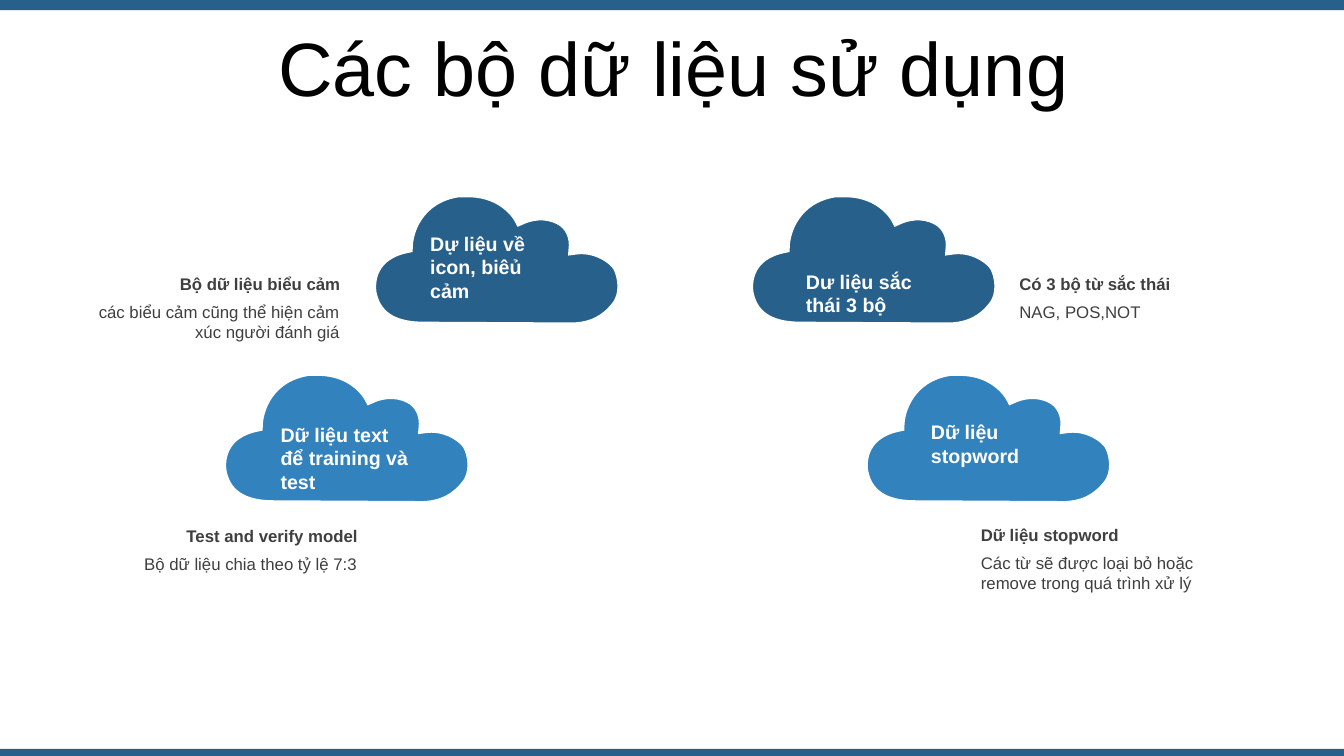
from lxml.etree import SubElement as Sub
from pptx import Presentation
from pptx.dml.color import RGBColor as RGB
from pptx.enum.shapes import MSO_SHAPE as Shape
from pptx.enum.text import MSO_ANCHOR as Anchor, MSO_AUTO_SIZE as Fit, PP_ALIGN as Align
from pptx.oxml.ns import qn
from pptx.util import Cm, Pt

COLORS = {"navy": "28608C", "blue": "3282BE", "white": "FFFFFF",
          "black": "000000", "gray": "3F3F3F"}
WIDE, HIGH = 33.87, 19.05

# Cloud outline in cm: each entry is a curve (three points) or a line (one point)
START = (2.36, 0)
CLOUD = [
    [(3.18, -0.03), (3.61, 0.46), (3.73, 0.71)],
    [(3.99, 0.58), (4.37, 0.51), (4.72, 0.69)],
    [(4.98, 0.81), (5.13, 1.12), (5.08, 1.45)],
    [(5.64, 1.35), (6.1, 1.7), (6.2, 1.88)],
    [(6.32, 2.11), (6.4, 2.57), (6.15, 2.87)],
    [(5.89, 3.2), (5.56, 3.38), (5.08, 3.4)],
    [(1.3, 3.38)],
    [(0.69, 3.38), (0.13, 3.2), (0, 2.54)],
    [(-0.05, 2.24), (0, 1.57), (0.91, 1.4)],
    [(0.91, 0.97), (1.19, 0.15), (2.18, 0)],
    [(2.24, 0), (2.31, 0), START],
]


def curve(shape):
    """Turn each run of three segments into one Bezier curve."""
    steps = iter(list(shape.element.iter(qn("a:lnTo"))))
    for part in CLOUD:
        first, *rest = [next(steps) for _ in part]
        if rest:
            first.tag = qn("a:cubicBezTo")
        for step in rest:
            first.append(step[0])
            step.getparent().remove(step)


def write(frame, text, size=12, color="gray", bold=False, align=Align.LEFT, gap=None):
    para = frame.paragraphs[0]
    para.alignment = align
    if gap:
        para.line_spacing = gap
    run = para.add_run()
    run.text = text
    font = run.font
    font.name, font.size, font.bold = "Arial", Pt(size), bold
    font.color.rgb = RGB.from_string(COLORS[color])


class Deck:
    def __init__(self):
        self.prs = Presentation()
        self.prs.slide_width, self.prs.slide_height = Cm(WIDE), Cm(HIGH)
        self.shapes = self.prs.slides.add_slide(self.prs.slide_layouts[6]).shapes

    def paint(self, shape, color):
        shape.shadow.inherit = False
        shape.fill.solid()
        shape.fill.fore_color.rgb = RGB.from_string(COLORS[color])

    def bar(self, top, high):
        shape = self.shapes.add_shape(Shape.RECTANGLE, 0, Cm(top), Cm(WIDE), Cm(high))
        self.paint(shape, "navy")
        shape.line.fill.background()

    def cloud(self, left, top, color):
        def place(dot):
            return Cm(left + dot[0]), Cm(top + dot[1])

        pen = self.shapes.build_freeform(*place(START))
        pen.add_line_segments([place(dot) for part in CLOUD for dot in part], close=True)
        shape = pen.convert_to_shape()
        curve(shape)
        self.paint(shape, color)
        shape.line.color.rgb = RGB.from_string(COLORS["white"])
        shape.line.width = Pt(7)
        # Sharp corners
        Sub(shape.element.spPr.find(qn("a:ln")), qn("a:miter"), lim="800000")

    def text(self, left, top, wide, high, text, anchor=Anchor.MIDDLE, fit=Fit.SHAPE_TO_FIT_TEXT,
             **style):
        frame = self.shapes.add_textbox(Cm(left), Cm(top), Cm(wide), Cm(high)).text_frame
        frame.word_wrap = True
        frame.auto_size = fit
        frame.vertical_anchor = anchor
        write(frame, text, **style)

    def note(self, left, top, high, head, body, align):
        self.text(left, top, 7.06, 0.76, head, bold=True, align=align)
        self.text(left, top + 0.71, 7.04, high, body, anchor=Anchor.TOP, align=align)


def main():
    deck = Deck()

    # Bars and title
    deck.bar(0, 0.26)
    deck.bar(18.87, 0.18)
    deck.text(0.89, 0.94, 32.16, 2.01, "Các bộ dữ liệu sử dụng", fit=Fit.NONE,
              size=54, color="black", align=Align.CENTER, gap=0.7)

    # Clouds
    for left, top, color in [(5.59, 9.35, "blue"), (9.37, 4.85, "navy"),
                             (18.87, 4.85, "navy"), (21.76, 9.35, "blue")]:
        deck.cloud(left, top, color)

    # Cloud labels
    for left, top, high, text in [
        (6.82, 10.51, 2.06, "Dữ liệu text để training và test"),
        (10.59, 5.7, 2.06, "Dự liệu về icon, biêủ cảm"),
        (20.06, 6.66, 1.45, "Dư liệu sắc thái 3 bộ"),
        (23.21, 10.46, 1.45, "Dữ liệu stopword"),
    ]:
        deck.text(left, top, 3.84, high, text, size=14, color="white", bold=True)

    # Notes beside the clouds
    for note in [
        (24.47, 13.1, 1.27, "Dữ liệu stopword",
         "Các từ sẽ được loại bỏ hoặc remove trong quá trình xử lý", Align.LEFT),
        (25.44, 6.77, 0.76, "Có 3 bộ từ sắc thái", "NAG, POS,NOT", Align.LEFT),
        (1.77, 6.77, 1.27, "Bộ dữ liệu biểu cảm",
         "các biểu cảm cũng thể hiện cảm xúc người đánh giá", Align.RIGHT),
        (2.21, 13.13, 0.76, "Test and verify model",
         "Bộ dữ liệu chia theo tỷ lệ 7:3", Align.RIGHT),
    ]:
        deck.note(*note)

    deck.prs.save("out.pptx")


if __name__ == "__main__":
    main()
